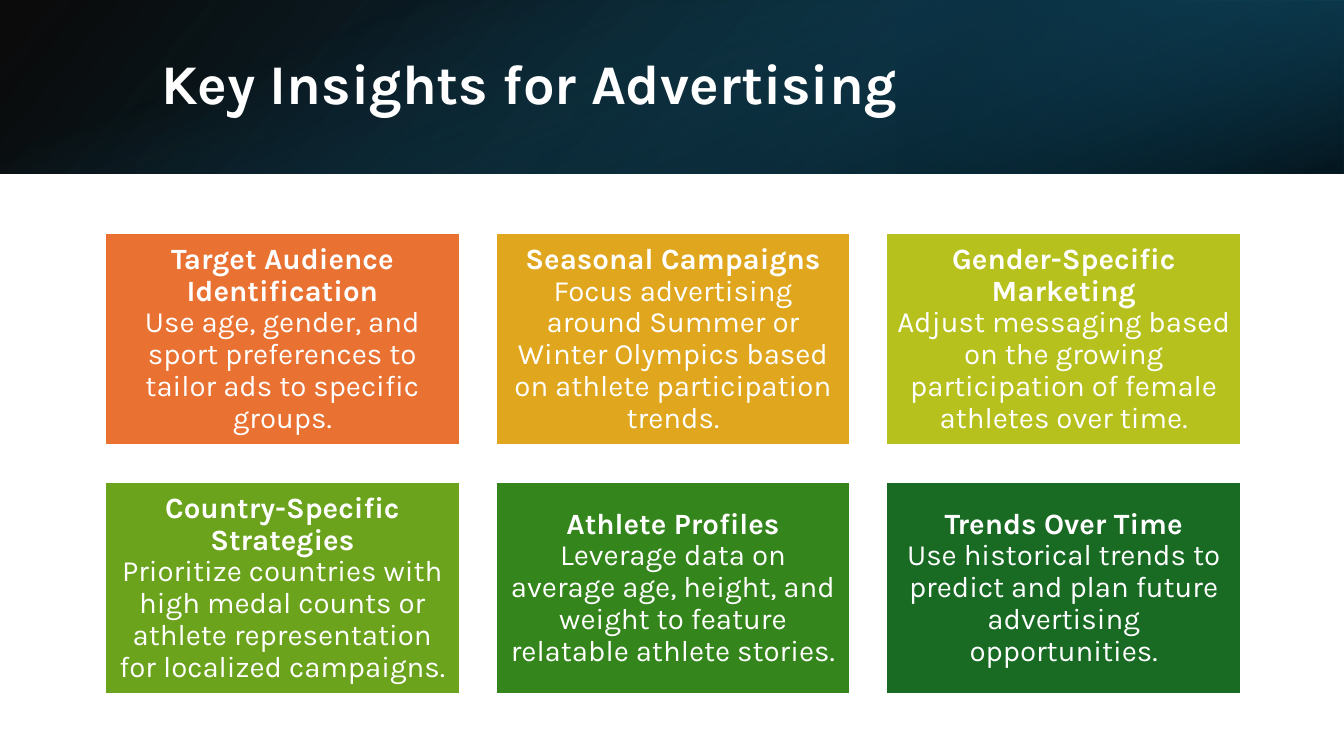
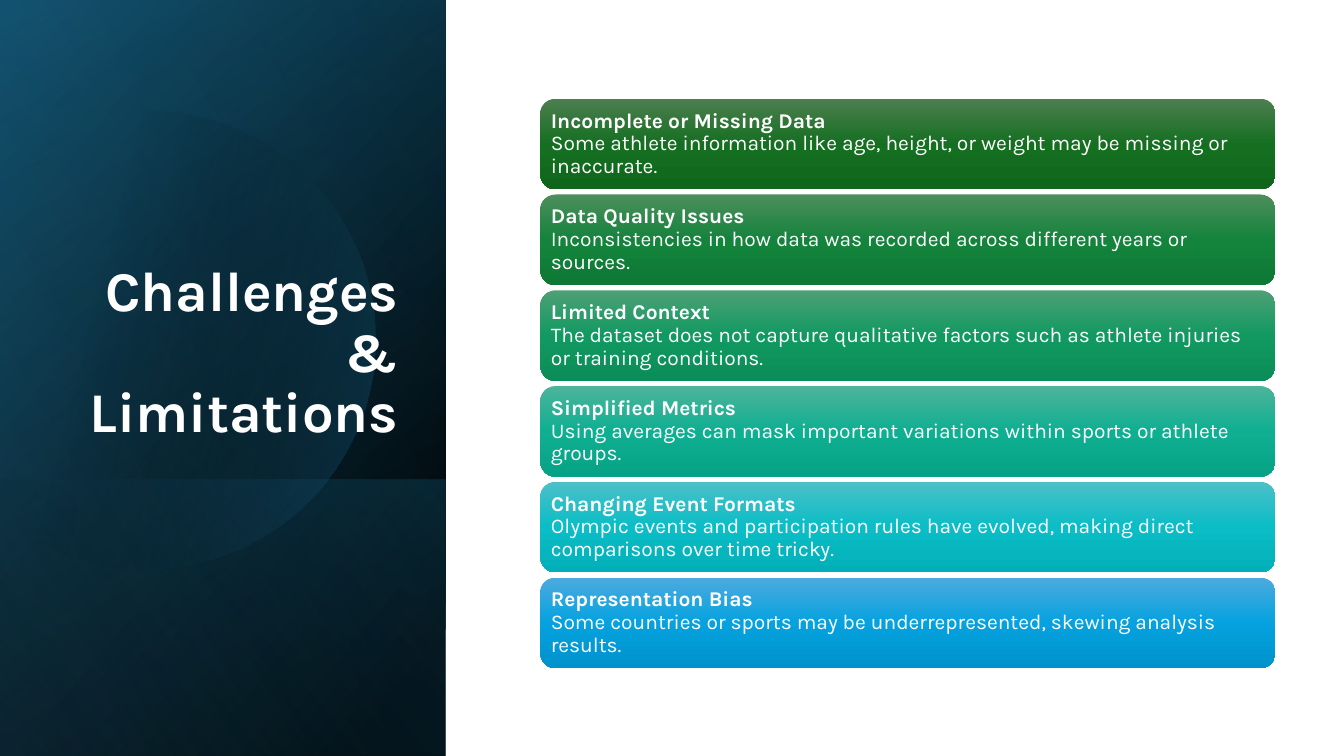
from math import acos, cos, pi, sin

from pptx import Presentation
from pptx.dml.color import RGBColor
from pptx.enum.shapes import MSO_SHAPE
from pptx.enum.text import MSO_ANCHOR, PP_ALIGN
from pptx.oxml import parse_xml
from pptx.oxml.ns import nsdecls, qn
from pptx.util import Inches, Pt

FONT = "Karla"
COLORS = {
    "white": "FFFFFF",
    "black": "000000",
    "navy": "104862",
    "deep": "0B3041",
    "teal": "156082",
    "sky": "46B1E1",
    "cards": ["E97132", "E0A61D", "B7C11E", "6BA31D", "34861C", "196B24"],
    "bars": [
        ("4D7E50", "156F21", "0F661B"),
        ("4D8E5C", "14833C", "0D7934"),
        ("4DA075", "129962", "0A8D58"),
        ("4CB49B", "0FAF92", "06A286"),
        ("4CC0C8", "0ABDC6", "02AFB8"),
        ("4CAADF", "05A2DF", "0092CB"),
    ],
}
WHITE = RGBColor.from_string(COLORS["white"])


def paint_gradient(shape, stops, angle):
    shape.shadow.inherit = False
    shape.line.fill.background()
    shape.fill.background()
    stop_xml = "".join(
        f'<a:gs pos="{position * 1000}"><a:srgbClr val="{color}">'
        f'<a:alpha val="{opacity * 1000}"/></a:srgbClr></a:gs>'
        for position, color, opacity in stops
    )
    gradient = parse_xml(
        f'<a:gradFill {nsdecls("a")} rotWithShape="1"><a:gsLst>{stop_xml}</a:gsLst>'
        f'<a:lin ang="{angle * 60000}" scaled="0"/></a:gradFill>'
    )
    properties = shape._element.spPr
    properties.replace(properties.find(qn("a:noFill")), gradient)


def write_text(shape, heading, body, size, align, anchor, insets=(0.1, 0.05)):
    frame = shape.text_frame
    frame.word_wrap = True
    frame.vertical_anchor = anchor
    frame.margin_left = frame.margin_right = Inches(insets[0])
    frame.margin_top = frame.margin_bottom = Inches(insets[1])
    paragraph = frame.paragraphs[0]
    paragraph.alignment = align
    paragraph.line_spacing = 0.9
    paragraph.font.name = FONT
    paragraph.font.size = Pt(size)
    paragraph.font.color.rgb = WHITE
    heading_run = paragraph.add_run()
    heading_run.text = heading
    heading_run.font.bold = True
    if body:
        paragraph.add_line_break()
        paragraph.add_run().text = body


presentation = Presentation()
presentation.slide_width = Inches(13.33)
presentation.slide_height = Inches(7.5)
blank = presentation.slide_layouts[6]
insights = presentation.slides.add_slide(blank)
challenges = presentation.slides.add_slide(blank)

black, navy, teal = COLORS["black"], COLORS["navy"], COLORS["teal"]
header_layers = [
    ((0, 0, 13.33, 1.72), 0, True, [(0, black, 96), (100, navy, 100)], 140),
    ((8.89, 0, 4.44, 1.72), 180, True, [(19, COLORS["deep"], 68), (100, teal, 79)], 320),
    ((5.8, -5.8, 1.72, 13.33), 90, False, [(23, teal, 0), (99, black, 74)], 340),
]
panel = (-1.54, 1.54, 7.5, 4.42)
panel_layers = [
    (panel, 90, True, [(8, black, 100), (100, navy, 100)], 50),
    (panel, 90, True, [(0, black, 0), (99, teal, 46)], 30),
    ((0.84, 3.92, 2.74, 4.42), 90, True, [(2, teal, 29), (100, black, 30)], 130),
]
glow_layers = [(panel, 90, True, [(0, black, 0), (99, COLORS["sky"], 11)], 120)]

for slide, layers in ((insights, header_layers), (challenges, panel_layers), (challenges, glow_layers)):
    if layers is glow_layers:
        center_x, center_y, radius = 1.45, 3.37, 2.27
        reach = pi - acos(center_x / radius)
        angles = [reach * (step / 60 - 1) for step in range(121)]
        rim = [
            (Inches(center_x + radius * cos(angle)), Inches(center_y + radius * sin(angle)))
            for angle in angles
        ]
        builder = slide.shapes.build_freeform(*rim[0])
        builder.add_line_segments(rim[1:], close=True)
        paint_gradient(builder.convert_to_shape(), [(29, black, 0), (100, teal, 43)], 14)
    for box, rotation, flipped, stops, angle in layers:
        layer = slide.shapes.add_shape(MSO_SHAPE.RECTANGLE, *map(Inches, box))
        layer.rotation = rotation
        if flipped:
            layer._element.spPr.xfrm.set("flipH", "1")
        paint_gradient(layer, stops, angle)

titles = [
    (insights, "Key Insights for Advertising", (1.5, 0.38, 10.98, 0.96), PP_ALIGN.LEFT, MSO_ANCHOR.MIDDLE),
    (challenges, "Challenges & Limitations", (0.64, 1.84, 3.41, 2.62), PP_ALIGN.RIGHT, MSO_ANCHOR.BOTTOM),
]
for slide, title, box, align, anchor in titles:
    title_box = slide.shapes.add_textbox(*map(Inches, box))
    write_text(title_box, title, None, 40, align, anchor)

strategies = [
    ("Target Audience Identification",
     "Use age, gender, and sport preferences to tailor ads to specific groups."),
    ("Seasonal Campaigns",
     "Focus advertising around Summer or Winter Olympics based on athlete participation trends."),
    ("Gender-Specific Marketing",
     "Adjust messaging based on the growing participation of female athletes over time."),
    ("Country-Specific Strategies",
     "Prioritize countries with high medal counts or athlete representation for localized campaigns."),
    ("Athlete Profiles",
     "Leverage data on average age, height, and weight to feature relatable athlete stories."),
    ("Trends Over Time",
     "Use historical trends to predict and plan future advertising opportunities."),
]
for index, (heading, body) in enumerate(strategies):
    row, column = divmod(index, 3)
    card = insights.shapes.add_shape(
        MSO_SHAPE.RECTANGLE,
        Inches(1.04 + column * 3.875), Inches(2.31 + row * 2.47), Inches(3.52), Inches(2.11),
    )
    card.shadow.inherit = False
    card.fill.solid()
    card.fill.fore_color.rgb = RGBColor.from_string(COLORS["cards"][index])
    card.line.color.rgb = WHITE
    card.line.width = Pt(1.5)
    write_text(card, heading, body, 21, PP_ALIGN.CENTER, MSO_ANCHOR.MIDDLE, (0.09, 0.09))

limitations = [
    ("Incomplete or Missing Data",
     "Some athlete information like age, height, or weight may be missing or inaccurate."),
    ("Data Quality Issues",
     "Inconsistencies in how data was recorded across different years or sources."),
    ("Limited Context",
     "The dataset does not capture qualitative factors such as athlete injuries or training conditions."),
    ("Simplified Metrics",
     "Using averages can mask important variations within sports or athlete groups."),
    ("Changing Event Formats",
     "Olympic events and participation rules have evolved, making direct comparisons over time tricky."),
    ("Representation Bias",
     "Some countries or sports may be underrepresented, skewing analysis results."),
]
for index, (heading, body) in enumerate(limitations):
    bar = challenges.shapes.add_shape(
        MSO_SHAPE.ROUNDED_RECTANGLE,
        Inches(5.36), Inches(0.98 + index * 0.95), Inches(7.29), Inches(0.9),
    )
    stops = [(position, color, 100) for position, color in zip((0, 50, 100), COLORS["bars"][index])]
    paint_gradient(bar, stops, 90)
    write_text(bar, heading, body, 15, PP_ALIGN.LEFT, MSO_ANCHOR.MIDDLE, (0.06, 0.06))

presentation.save("out.pptx")
